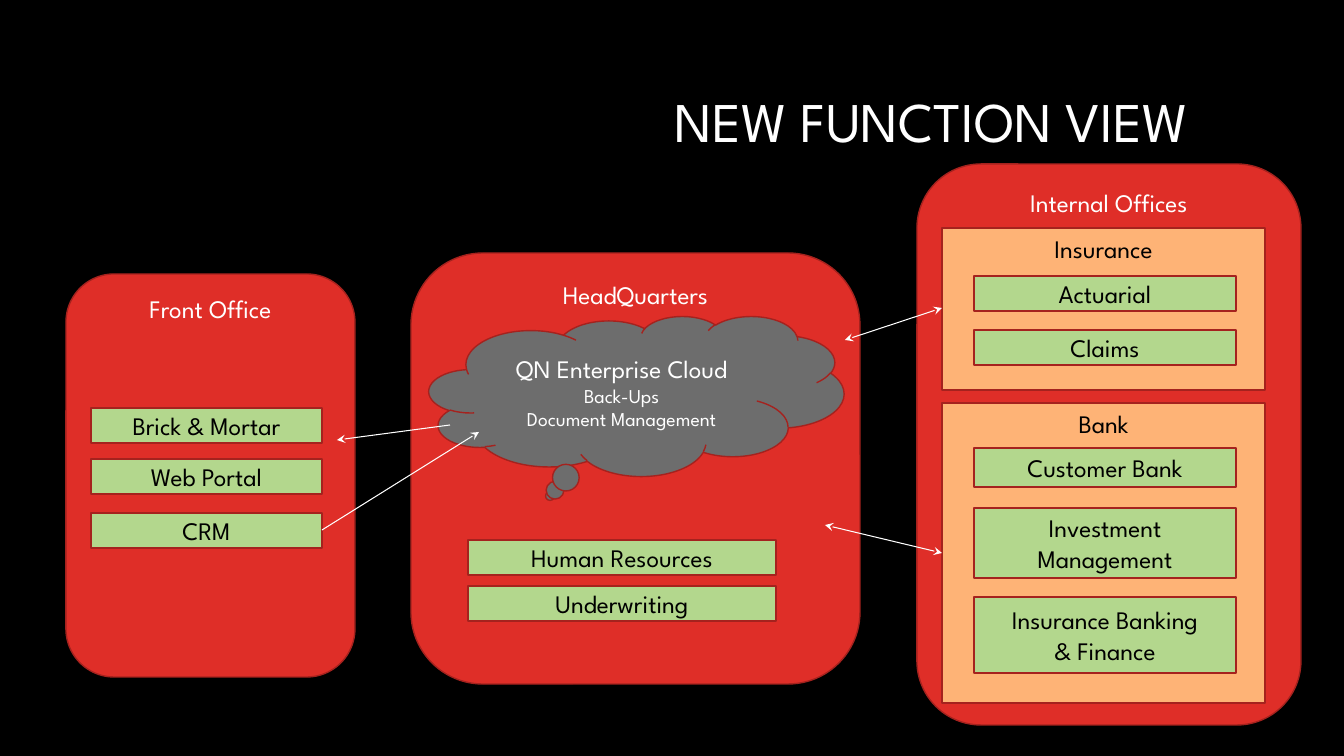
import dataclasses

import lxml.etree
import pptx
import pptx.dml.color
import pptx.enum.shapes
import pptx.enum.text
import pptx.oxml.ns
import pptx.util

SCALE = 12192000 / 1344
KIND = pptx.enum.shapes.MSO_SHAPE
ANCHOR = pptx.enum.text.MSO_ANCHOR
ALIGN = pptx.enum.text.PP_ALIGN


@dataclasses.dataclass(frozen=True)
class Theme:
    """Colours, font and type sizes of the slide."""
    background: str = "000000"
    light: str = "FFFFFF"
    dark: str = "000000"
    office: str = "DF2E28"
    division: str = "FEB376"
    function: str = "B3D78D"
    cloud: str = "6D6D6D"
    outline: str = "A5221E"
    font: str = "League Spartan"
    title: int = 40
    body: int = 18
    detail: int = 14


THEME = Theme()


def emu(*lengths):
    """Turn px lengths into EMU."""
    return [pptx.util.Emu(round(length * SCALE)) for length in lengths]


def rgb(code):
    """Turn a hex code into a colour."""
    return pptx.dml.color.RGBColor.from_string(code)


def write_text(shape, text, size=THEME.body, detail=None, color=THEME.light,
               anchor=ANCHOR.MIDDLE, align=ALIGN.CENTER, spacing=None):
    """Write lines of text, with every line after the first in the detail size."""
    frame = shape.text_frame
    frame.word_wrap = True
    frame.vertical_anchor = anchor
    for index, line in enumerate(text.split("\n")):
        paragraph = frame.add_paragraph() if index else frame.paragraphs[0]
        paragraph.alignment = align
        paragraph.line_spacing = spacing
        run = paragraph.add_run()
        run.text = line
        run.font.name = THEME.font
        run.font.size = pptx.util.Pt(detail if index and detail else size)
        run.font.color.rgb = rgb(color)


def add_block(slide, kind, box, fill, text, **text_format):
    """Add a filled, outlined shape with its label."""
    shape = slide.shapes.add_shape(kind, *emu(*box))
    shape.shadow.inherit = False
    shape.fill.solid()
    shape.fill.fore_color.rgb = rgb(fill)
    shape.line.color.rgb = rgb(THEME.outline)
    shape.line.width = pptx.util.Pt(1)
    write_text(shape, text, **text_format)


def add_office(slide, box, name):
    """Add a rounded office panel named at its top."""
    add_block(slide, KIND.ROUNDED_RECTANGLE, box, THEME.office, name, anchor=ANCHOR.TOP)


def add_functions(slide, left, top, width, functions):
    """Add function bars, each given as label, offset from the top and height."""
    for label, offset, height in functions:
        add_block(slide, KIND.RECTANGLE, (left, top + offset, width, height),
                  THEME.function, label, color=THEME.dark)


def add_division(slide, box, name, functions):
    """Add a division panel with its function bars inside."""
    left, top, width, height = box
    add_block(slide, KIND.RECTANGLE, box, THEME.division, name,
              color=THEME.dark, anchor=ANCHOR.TOP)
    add_functions(slide, left + 32, top, width - 61, functions)


def add_arrow(slide, start, end, double=False):
    """Add a thin arrow with a stealth head at its end, or at both ends."""
    connector = slide.shapes.add_connector(
        pptx.enum.shapes.MSO_CONNECTOR.STRAIGHT, *emu(*start, *end))
    connector.line.color.rgb = rgb(THEME.light)
    connector.line.width = pptx.util.Pt(0.75)
    properties = connector._element.spPr
    line = properties.find(pptx.oxml.ns.qn("a:ln"))
    for tag in ("a:headEnd", "a:tailEnd") if double else ("a:tailEnd",):
        lxml.etree.SubElement(line, pptx.oxml.ns.qn(tag), type="stealth")
    lxml.etree.SubElement(properties, pptx.oxml.ns.qn("a:effectLst"))


def add_title(slide, box, text):
    """Add the slide title, set to the right."""
    title = slide.shapes.add_textbox(*emu(*box))
    write_text(title, text, size=THEME.title, align=ALIGN.RIGHT, spacing=0.9)


def add_headquarters(slide, box):
    """Add the headquarters with its cloud and functions."""
    left, top, width, height = box
    add_office(slide, box, "HeadQuarters")
    add_block(slide, KIND.CLOUD_CALLOUT, (left + 18, top + 63, width - 34, 160), THEME.cloud,
              "QN Enterprise Cloud\nBack-Ups\nDocument Management", detail=THEME.detail)
    add_functions(slide, left + 57, top, 308,
                  [("Human Resources", 287, 35), ("Underwriting", 333, 35)])


def add_front_office(slide, box):
    """Add the front office with its functions."""
    left, top, width, height = box
    add_office(slide, box, "Front Office")
    add_functions(slide, left + 25, top, width - 58,
                  [("Brick & Mortar", 134, 35), ("Web Portal", 185, 35), ("CRM", 239, 35)])


def add_internal_offices(slide, box):
    """Add the internal offices with the insurance and bank divisions."""
    left, top, width, height = box
    add_office(slide, box, "Internal Offices")
    add_division(slide, (left + 25, top + 64, width - 61, 162), "Insurance",
                 [("Actuarial", 48, 35), ("Claims", 102, 35)])
    add_division(slide, (left + 25, top + 239, width - 61, 300), "Bank",
                 [("Customer Bank", 45, 39), ("Investment Management", 105, 70),
                  ("Insurance Banking\n& Finance", 194, 76)])


def main():
    """Build and save the presentation."""
    presentation = pptx.Presentation()
    presentation.slide_width, presentation.slide_height = emu(1344, 756)
    slide = presentation.slides.add_slide(presentation.slide_layouts[6])
    slide.background.fill.solid()
    slide.background.fill.fore_color.rgb = rgb(THEME.background)
    add_title(slide, (319, 85, 879, 79), "NEW FUNCTION VIEW")
    add_headquarters(slide, (411, 253, 449, 431))
    add_front_office(slide, (66, 274, 289, 403))
    add_internal_offices(slide, (917, 164, 384, 561))
    add_arrow(slide, (322, 530), (479, 432))
    add_arrow(slide, (450, 425), (337, 440))
    add_arrow(slide, (942, 308), (845, 340), double=True)
    add_arrow(slide, (942, 553), (825, 525), double=True)
    presentation.save("out.pptx")


if __name__ == "__main__":
    main()
